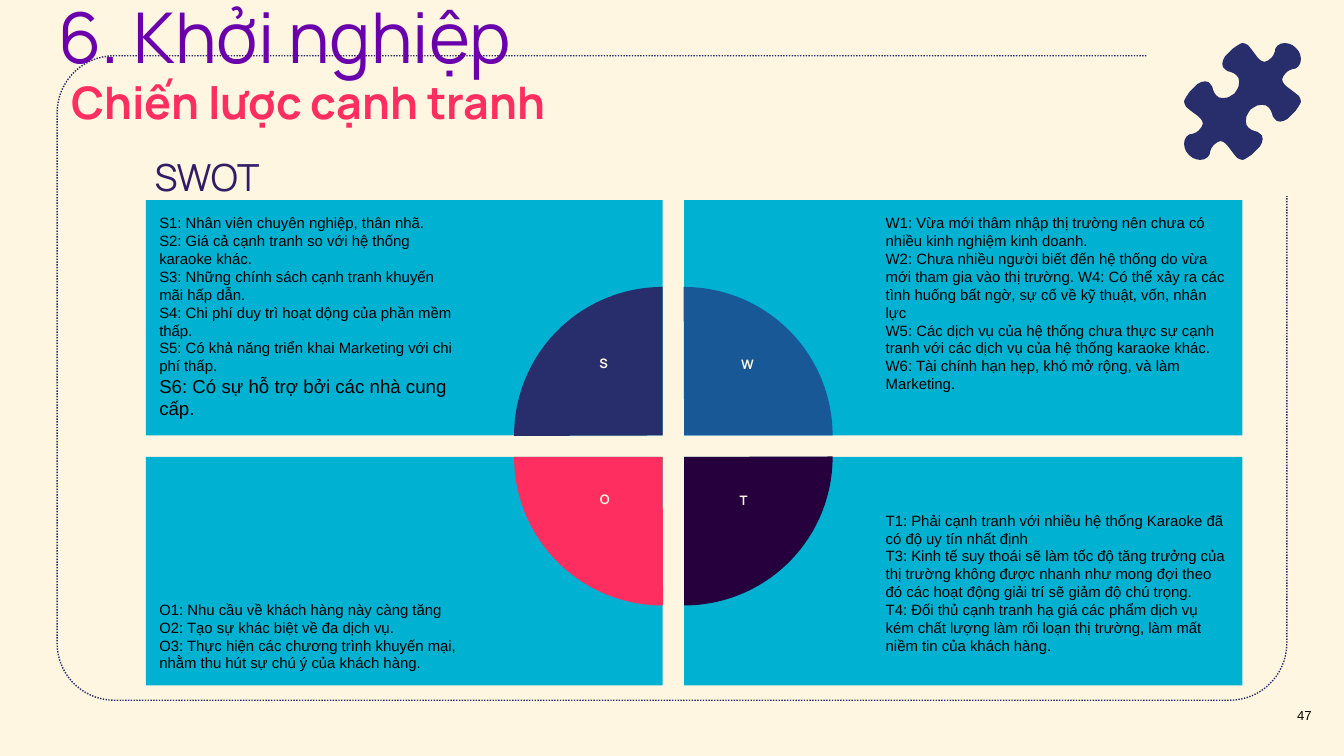
from math import cos, radians, sin

from pptx import Presentation
from pptx.dml.color import RGBColor
from pptx.enum.dml import MSO_LINE
from pptx.enum.shapes import MSO_SHAPE
from pptx.enum.text import MSO_ANCHOR, PP_ALIGN
from pptx.util import Inches, Pt

RECT, PIE = MSO_SHAPE.RECTANGLE, MSO_SHAPE.PIE
TOP, MIDDLE, BOTTOM = MSO_ANCHOR.TOP, MSO_ANCHOR.MIDDLE, MSO_ANCHOR.BOTTOM
LEFT, CENTER = PP_ALIGN.LEFT, PP_ALIGN.CENTER
DOT = MSO_LINE.ROUND_DOT

W, H = 20, 11.25
CREAM, NAVY, PANEL, BLACK = "FEF6E0", "282D6C", "00B1D2", "000000"
PURPLE, PINK, INDIGO = "6A00AC", "FE2E60", "351B65"

# Content: heading, box, size, colour, bold, line spacing, inset
HEADINGS = [
    ("SWOT", (2.1, 2.09, 7.76, 1.06), 40, INDIGO, False, 1.0, 0.2),
    ("6. Khởi nghiệp", (0.87, -0.34, 8.42, 1.51), 75, PURPLE, False, 1.2, 0),
    ("Chiến lược cạnh tranh", (1.06, 0.87, 10.82, 1.05), 48, PINK, True, 1.3, 0),
]

# Content: panels by column and row, lines as (text, size)
PANELS = [
    dict(col=0, row=0, anchor=TOP, bottom=0.2, lines=[
        ("S1: Nhân viên chuyên nghiệp, thân nhã.", 16),
        ("S2: Giá cả cạnh tranh so với hệ thống karaoke khác.", 16),
        ("S3: Những chính sách cạnh tranh khuyến mãi hấp dẫn.", 16),
        ("S4: Chi phí duy trì hoạt dộng của phần mềm thấp.", 16),
        ("S5: Có khả năng triển khai Marketing với chi phí thấp.", 16),
        ("S6: Có sự hỗ trợ bởi các nhà cung cấp.", 20)]),
    dict(col=1, row=0, anchor=TOP, bottom=0.2, lines=[
        ("W1: Vừa mới thâm nhập thị trường nên chưa có nhiều kinh nghiệm kinh doanh.", 16),
        ("W2: Chưa nhiều người biết đến hệ thống do vừa mới tham gia vào thị trường. "
         "W4: Có thể xảy ra các tình huống bất ngờ, sự cố về kỹ thuật, vốn, nhân lực", 16),
        ("W5: Các dịch vụ của hệ thống chưa thực sự cạnh tranh với các dịch vụ "
         "của hệ thống karaoke khác.", 16),
        ("W6: Tài chính hạn hẹp, khó mở rộng, và làm Marketing.", 16)]),
    dict(col=0, row=1, anchor=BOTTOM, bottom=0.2, lines=[
        ("O1: Nhu cầu về khách hàng này càng tăng", 16),
        ("O2: Tạo sự khác biệt về đa dịch vụ.", 16),
        ("O3: Thực hiện các chương trình khuyến mại, nhằm thu hút sự chú ý "
         "của khách hàng.", 16)]),
    dict(col=1, row=1, anchor=BOTTOM, bottom=0.46, lines=[
        ("T1: Phải cạnh tranh với nhiều hệ thống Karaoke đã có độ uy tín nhất định", 16),
        ("T3: Kinh tế suy thoái sẽ làm tốc độ tăng trưởng của thị trường không được "
         "nhanh như mong đợi theo đó các hoạt động giải trí sẽ giảm độ chú trọng.", 16),
        ("T4: Đối thủ cạnh tranh hạ giá các phẩm dịch vụ kém chất lượng làm rối loạn "
         "thị trường, làm mất niềm tin của khách hàng.", 16)]),
]
COLS = [(2.17, 7.69), (10.18, 8.31)]  # left, width
ROWS = [(2.98, 3.5), (6.8, 3.4)]      # top, height

# Quarter circles, clockwise: column, row, colour
PIE_D, PIE_X, PIE_Y = 4.42, (7.65, 7.97), (4.27, 4.59)
QUARTERS = [(0, 0, NAVY), (1, 0, "185897"), (1, 1, "25003C"), (0, 1, PINK)]
LETTERS = [("S", (8.67, 5.19, 0.63, 0.82)), ("W", (10.53, 5.2, 1.19, 0.8)),
           ("O", (8.61, 7.21, 0.78, 0.81)), ("T", (10.73, 7.23, 0.67, 0.8))]

# Puzzle piece: half of a socket and half of a knob, measured from its centre
PUZZLE_X, PUZZLE_Y = 18.49, 1.51
SOCKET = [(0, -.87), (-.03, -.86), (-.08, -.83), (-.14, -.79), (-.2, -.73),
          (-.26, -.67), (-.29, -.61), (-.3, -.56), (-.29, -.51), (-.26, -.48),
          (-.22, -.45), (-.18, -.44), (-.13, -.42), (-.09, -.39), (-.06, -.35),
          (-.05, -.29), (-.06, -.22), (-.08, -.18), (-.12, -.12)]
KNOB = [(-.87, 0), (-.86, .04), (-.84, .08), (-.78, .13), (-.66, .22),
        (-.62, .26), (-.6, .29), (-.59, .33), (-.61, .38), (-.65, .43),
        (-.69, .46), (-.74, .48), (-.79, .49), (-.83, .52), (-.86, .57),
        (-.87, .63), (-.86, .69), (-.84, .74), (-.81, .78)]


def rgb(hex_colour):
    return RGBColor.from_string(hex_colour)


def inches(box):
    return [Inches(v) for v in box]


def paint(sp, fill):
    sp.shadow.inherit = False
    sp.fill.solid()
    sp.fill.fore_color.rgb = rgb(fill)
    sp.line.fill.background()


def write(sp, lines, font, colour, bold=False, anchor=TOP, align=LEFT,
          insets=(0.2, 0.2, 0.2, 0.2), spacing=1.0):
    tf = sp.text_frame
    tf.word_wrap = True
    tf.vertical_anchor = anchor
    tf.margin_left, tf.margin_top, tf.margin_right, tf.margin_bottom = inches(insets)
    for i, (text, size) in enumerate(lines):
        p = tf.add_paragraph() if i else tf.paragraphs[0]
        p.alignment = align
        p.line_spacing = spacing
        r = p.add_run()
        r.text = text
        r.font.name, r.font.size, r.font.bold = font, Pt(size), bold
        r.font.color.rgb = rgb(colour)


def outline(shapes, points, close):
    pts = [inches(pt) for pt in points]
    builder = shapes.build_freeform(*pts[0], scale=1.0)
    builder.add_line_segments(pts[1:], close=close)
    return builder.convert_to_shape()


def arc(cx, cy, radius, start):
    """Quarter turn, counterclockwise on the slide."""
    angles = [radians(start - 6 * i) for i in range(16)]
    return [(cx + radius * cos(a), cy + radius * sin(a)) for a in angles]


prs = Presentation()
prs.slide_width, prs.slide_height = Inches(W), Inches(H)
s = prs.slides.add_slide(prs.slide_layouts[6])
s.background.fill.solid()
s.background.fill.fore_color.rgb = rgb(CREAM)
shapes = s.shapes

# Dotted frame, open at the top right corner
RADIUS, X0, X1, Y0, Y1 = 0.85, 0.85, 19.15, 0.83, 10.42
frame_points = ([(17.06, Y0)]
                + arc(X0 + RADIUS, Y0 + RADIUS, RADIUS, 270)
                + arc(X0 + RADIUS, Y1 - RADIUS, RADIUS, 180)
                + arc(X1 - RADIUS, Y1 - RADIUS, RADIUS, 90)
                + [(X1, 2.92)])
frame = outline(shapes, frame_points, close=False)
frame.shadow.inherit = False
frame.fill.background()
frame.line.color.rgb = rgb(NAVY)
frame.line.width = Pt(1.5)
frame.line.dash_style = DOT

# Page number
write(shapes.add_textbox(*inches((18.82, 10.04, 1.18, 1.21))), [("47", 14)],
      "Arial", BLACK, anchor=MIDDLE, align=CENTER)

# SWOT panels, with the inner side kept clear for the circle
for panel in PANELS:
    (x, w), (y, h) = COLS[panel["col"]], ROWS[panel["row"]]
    sp = shapes.add_shape(RECT, *inches((x, y, w, h)))
    paint(sp, PANEL)
    left, right = [(0.2, 3), (3, 0.2)][panel["col"]]
    write(sp, panel["lines"], "Arial", BLACK, anchor=panel["anchor"],
          insets=(left, 0.2, right, panel["bottom"]))

# Quarter circles and their letters
for i, (col, row, colour) in enumerate(QUARTERS):
    sp = shapes.add_shape(PIE, *inches((PIE_X[col], PIE_Y[row], PIE_D, PIE_D)))
    sp.adjustments[0], sp.adjustments[1] = 107.89, 162
    sp.rotation = 90 * i
    paint(sp, colour)
for letter, box in LETTERS:
    write(shapes.add_textbox(*inches(box)), [(letter, 14)], "Manrope", CREAM,
          bold=True, align=CENTER, insets=(0.2, 0.1, 0.2, 0.1))

# Puzzle piece: mirror each half on its diagonal, then turn the whole by 180°
half = (SOCKET + [(v, u) for u, v in SOCKET[-2:0:-1]]
        + KNOB + [(-v, -u) for u, v in KNOB[:0:-1]])
piece = half + [(-u, -v) for u, v in half]
paint(outline(shapes, [(PUZZLE_X + u, PUZZLE_Y + v) for u, v in piece], close=True), NAVY)

# Headings
for text, box, size, colour, bold, spacing, inset in HEADINGS:
    write(shapes.add_textbox(*inches(box)), [(text, size)], "Manrope", colour,
          bold=bold, insets=[inset] * 4, spacing=spacing)

prs.save("out.pptx")
